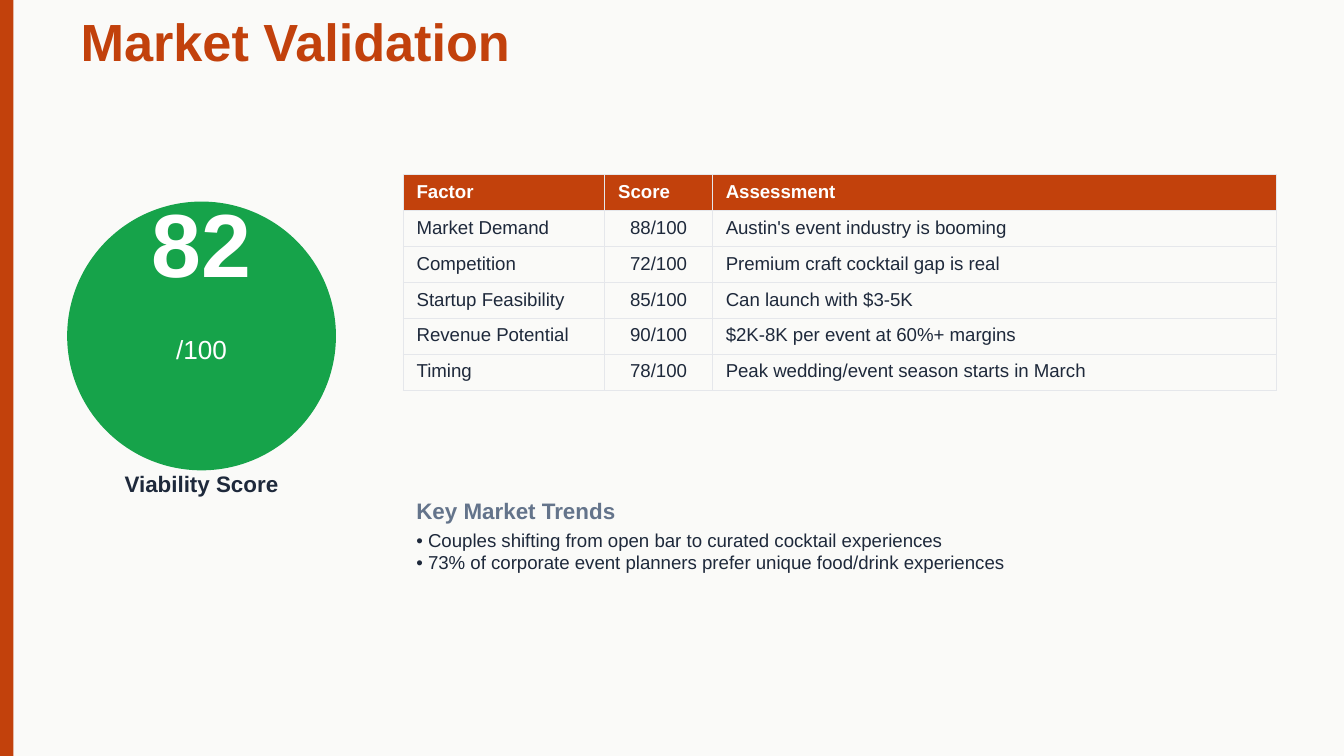
from lxml import etree
from pptx import Presentation
from pptx.dml.color import RGBColor
from pptx.enum.shapes import MSO_SHAPE as Shape
from pptx.enum.text import MSO_ANCHOR as Anchor, PP_ALIGN as Align
from pptx.oxml import parse_xml
from pptx.oxml.ns import nsdecls
from pptx.util import Inches, Pt

# Content
TITLE = "Market Validation"
HEADER = ("Factor", "Score", "Assessment")
FACTORS = [
    ("Market Demand", "88/100", "Austin's event industry is booming"),
    ("Competition", "72/100", "Premium craft cocktail gap is real"),
    ("Startup Feasibility", "85/100", "Can launch with $3-5K"),
    ("Revenue Potential", "90/100", "$2K-8K per event at 60%+ margins"),
    ("Timing", "78/100", "Peak wedding/event season starts in March"),
]
TRENDS = [
    "• Couples shifting from open bar to curated cocktail experiences",
    "• 73% of corporate event planners prefer unique food/drink experiences",
]

# Look
RUST, GREEN, INK, SLATE = "C2410C", "16A34A", "1E293B", "64748B"
WHITE, PAPER, RULE = "FFFFFF", "FAFAF8", "E5E7EB"
WIDTH = 10
HEIGHT = WIDTH * 9 / 16
SCORE_LEFT, SCORE_WIDTH = 0.5, 2
TABLE_LEFT, TABLE_TOP, TABLE_HEIGHT = 3, 1.3, 1
COLUMNS = (1.5, 0.8, 4.2)

# Free text: lines, left, centre line, width, size, colour, bold, alignment
LABELS = [
    (["82"], SCORE_LEFT, 1.8, SCORE_WIDTH, 48, WHITE, True, Align.CENTER),
    (["/100"], SCORE_LEFT, 2.6, SCORE_WIDTH, 14, WHITE, False, Align.CENTER),
    (["Viability Score"], SCORE_LEFT, 3.6, SCORE_WIDTH, 12, INK, True, Align.CENTER),
    (["Key Market Trends"], TABLE_LEFT, 3.8, 7.5, 12, SLATE, True, Align.LEFT),
    (TRENDS, TABLE_LEFT, 4.1, 6.5, 10, INK, False, Align.LEFT),
]


def colour(value):
    return RGBColor.from_string(value)


def write(frame, lines, size, ink, bold=False, align=Align.LEFT):
    for index, line in enumerate(lines):
        para = frame.add_paragraph() if index else frame.paragraphs[0]
        para.alignment = align
        span = para.add_run()
        span.text = line
        span.font.color.rgb = colour(ink)
        for name, value in {"name": "Arial", "size": Pt(size), "bold": bold}.items():
            setattr(span.font, name, value)


def centre_on_line(frame):
    for name, value in {"word_wrap": True, "vertical_anchor": Anchor.MIDDLE}.items():
        setattr(frame, name, value)


def add_block(page, kind, place, fill):
    block = page.shapes.add_shape(kind, *map(Inches, place))
    block.shadow.inherit = False
    block.fill.solid()
    block.fill.fore_color.rgb = colour(fill)
    block.line.fill.background()


def add_borders(cell):
    properties = cell._tc.get_or_add_tcPr()
    for side in "LRTB":
        line = parse_xml(f'<a:ln{side} {nsdecls("a")} w="{Pt(0.5)}"/>')
        fill = etree.SubElement(line, line.tag.replace(f"ln{side}", "solidFill"))
        etree.SubElement(fill, line.tag.replace(f"ln{side}", "srgbClr"), val=RULE)
        properties.append(line)


def add_scores(page):
    rows = [HEADER] + FACTORS
    place = (TABLE_LEFT, TABLE_TOP, sum(COLUMNS), TABLE_HEIGHT)
    holder = page.shapes.add_table(len(rows), len(COLUMNS), *map(Inches, place))
    table = holder.table
    table.horz_banding = False
    for column, width in zip(table.columns, COLUMNS):
        column.width = Inches(width)
    # Rows grow to fit their text
    for row in table.rows:
        row.height = 0
    holder.height = Inches(TABLE_HEIGHT)
    for r, row in enumerate(rows):
        head = r == 0
        for c, words in enumerate(row):
            cell = table.cell(r, c)
            align = Align.CENTER if c == 1 and not head else Align.LEFT
            write(cell.text_frame, [words], 10, WHITE if head else INK, head, align)
            add_borders(cell)
            if head:
                cell.fill.solid()
                cell.fill.fore_color.rgb = colour(RUST)
            else:
                cell.fill.background()


def main():
    deck = Presentation()
    deck.slide_width, deck.slide_height = Inches(WIDTH), Inches(HEIGHT)
    page = deck.slides.add_slide(deck.slide_layouts[5])
    page.background.fill.solid()
    page.background.fill.fore_color.rgb = colour(PAPER)

    # Side bar and title
    add_block(page, Shape.RECTANGLE, (0, 0, 0.1, HEIGHT), RUST)
    title = page.shapes.title
    place = {"left": 0.5, "top": 0.3, "width": 7.5, "height": 0}
    for name, value in place.items():
        setattr(title, name, Inches(value))
    centre_on_line(title.text_frame)
    write(title.text_frame, [TITLE], 28, RUST, True)

    # Score circle, labels and trends
    add_block(page, Shape.OVAL, (SCORE_LEFT, 1.5, SCORE_WIDTH, SCORE_WIDTH), GREEN)
    for lines, left, middle, width, *style in LABELS:
        box = page.shapes.add_textbox(*map(Inches, (left, middle, width, 0)))
        centre_on_line(box.text_frame)
        write(box.text_frame, lines, *style)

    # Factor table
    add_scores(page)
    deck.save("out.pptx")


if __name__ == "__main__":
    main()
